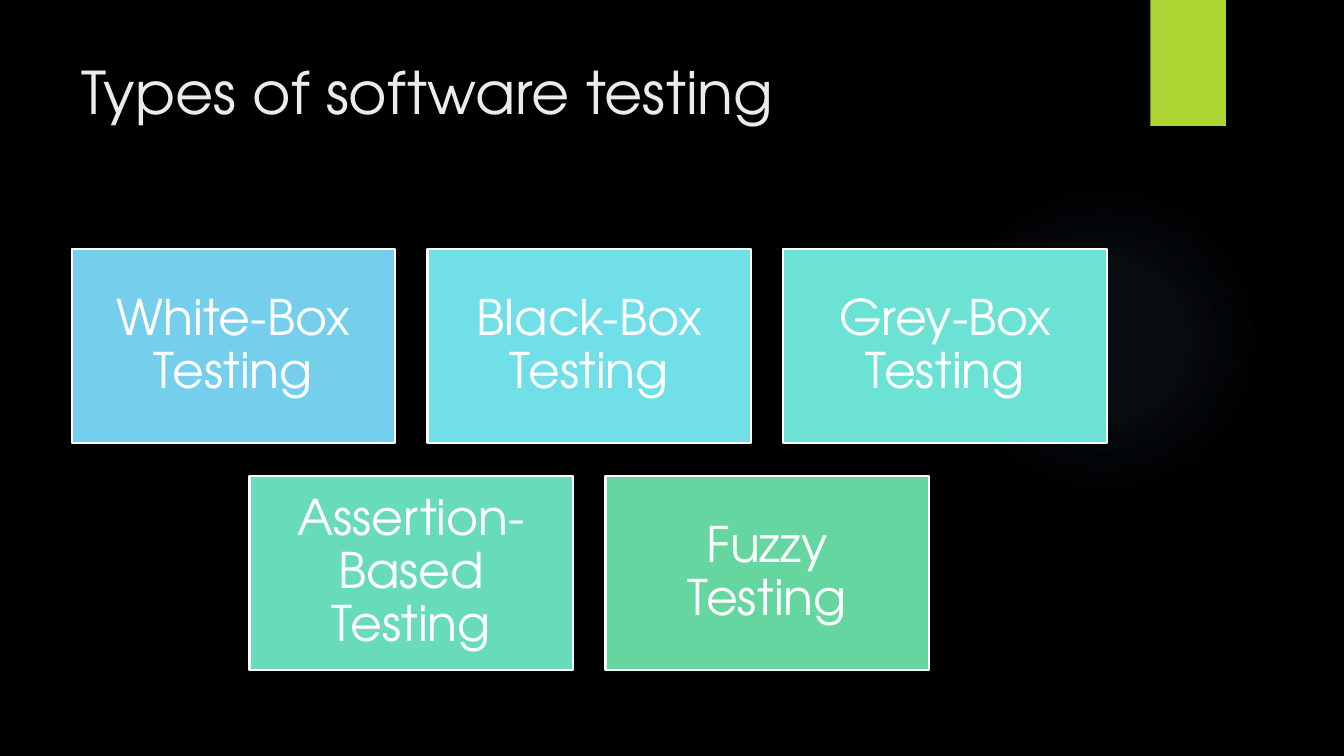
from dataclasses import dataclass

from pptx import Presentation
from pptx.dml.color import RGBColor
from pptx.enum.shapes import MSO_SHAPE
from pptx.enum.text import MSO_ANCHOR, PP_ALIGN
from pptx.oxml import parse_xml
from pptx.oxml.ns import nsdecls, qn
from pptx.util import Inches, Pt

RECT, OVAL = MSO_SHAPE.RECTANGLE, MSO_SHAPE.OVAL
TOP, MIDDLE = MSO_ANCHOR.TOP, MSO_ANCHOR.MIDDLE
LEFT, CENTER = PP_ALIGN.LEFT, PP_ALIGN.CENTER
WIDE, HIGH = 13.33, 7.5


@dataclass(frozen=True)
class Theme:
    font: str = "TeX Gyre Adventor"
    back: str = "000000"
    title: str = "EBEBEB"
    white: str = "FFFFFF"
    tab: str = "ACD433"
    glow: str = "7AC4F0"
    head: int = 42
    body: int = 35
    edge: float = 1.5


@dataclass(frozen=True)
class Grid:
    left: float = 0.71
    top: float = 2.47
    wide: float = 3.21
    high: float = 1.93
    gap: float = 0.32
    cols: int = 3

    def span(self, count):
        return count * self.wide + (count - 1) * self.gap

    def cell(self, row, col, count):
        start = self.left + (self.span(self.cols) - self.span(count)) / 2
        return (start + col * (self.wide + self.gap),
                self.top + row * (self.high + self.gap), self.wide, self.high)


THEME, GRID = Theme(), Grid()
ROWS = [
    [("White-Box Testing", "75CEEC"), ("Black-Box Testing", "70DFE7"),
     ("Grey-Box Testing", "6CE2D5")],
    [("Assertion-Based Testing", "68DCBA"), ("Fuzzy Testing", "65D6A0")],
]
GLOW = [(0, 7), (36, 6), (69, 0)]


def rgb(code):
    return RGBColor.from_string(code)


def apply(item, values):
    for name, value in values.items():
        setattr(item, name, value)


def place(item, box):
    names = ("left", "top", "width", "height")
    apply(item, dict(zip(names, map(Inches, box))))


def write(shape, text, size, color, align, anchor):
    frame = shape.text_frame
    frame.text = text
    apply(frame, {"word_wrap": True, "vertical_anchor": anchor})
    para = frame.paragraphs[0]
    para.alignment = align
    font = para.runs[0].font
    apply(font, {"name": THEME.font, "size": Pt(size), "bold": False})
    font.color.rgb = rgb(color)
    return frame, para


def block(slide, kind, box, color):
    shape = slide.shapes.add_shape(kind, *map(Inches, box))
    shape.shadow.inherit = False
    shape.fill.solid()
    shape.fill.fore_color.rgb = rgb(color)
    shape.line.fill.background()
    return shape


def add_glow(slide, box):
    shape = block(slide, OVAL, box, THEME.glow)
    stops = "".join(
        f'<a:gs pos="{pos * 1000}"><a:srgbClr val="{THEME.glow}">'
        f'<a:alpha val="{alpha * 1000}"/></a:srgbClr></a:gs>'
        for pos, alpha in GLOW)
    fade = parse_xml(
        f'<a:gradFill {nsdecls("a")}><a:gsLst>{stops}</a:gsLst>'
        '<a:path path="circle"><a:fillToRect l="50000" t="50000" '
        'r="50000" b="50000"/></a:path></a:gradFill>')
    props = shape.element.spPr
    props.replace(props.find(qn("a:solidFill")), fade)


def add_title(slide, text, box):
    title = slide.shapes.title
    place(title, box)
    write(title, text, THEME.head, THEME.title, LEFT, TOP)


def add_card(slide, text, color, box):
    card = block(slide, RECT, box, color)
    card.line.color.rgb = rgb(THEME.white)
    card.line.width = Pt(THEME.edge)
    frame, para = write(card, text, THEME.body, THEME.white, CENTER, MIDDLE)
    sides = ("left", "top", "right", "bottom")
    apply(frame, {f"margin_{side}": Inches(0.15) for side in sides})
    para.line_spacing = 0.9


def main():
    deck = Presentation()
    apply(deck, {"slide_width": Inches(WIDE), "slide_height": Inches(HIGH)})
    slide = deck.slides.add_slide(deck.slide_layouts[5])
    slide.background.fill.solid()
    slide.background.fill.fore_color.rgb = rgb(THEME.back)
    add_glow(slide, (9.41, 1.83, 3.08, 3.08))
    block(slide, RECT, (11.41, 0, 0.75, HIGH / 6), THEME.tab)
    add_title(slide, "Types of software testing",
              (GRID.left, HIGH / 15, GRID.span(GRID.cols), 1.53))
    for row, cards in enumerate(ROWS):
        for col, (text, color) in enumerate(cards):
            add_card(slide, text, color, GRID.cell(row, col, len(cards)))
    deck.save("out.pptx")


if __name__ == "__main__":
    main()
